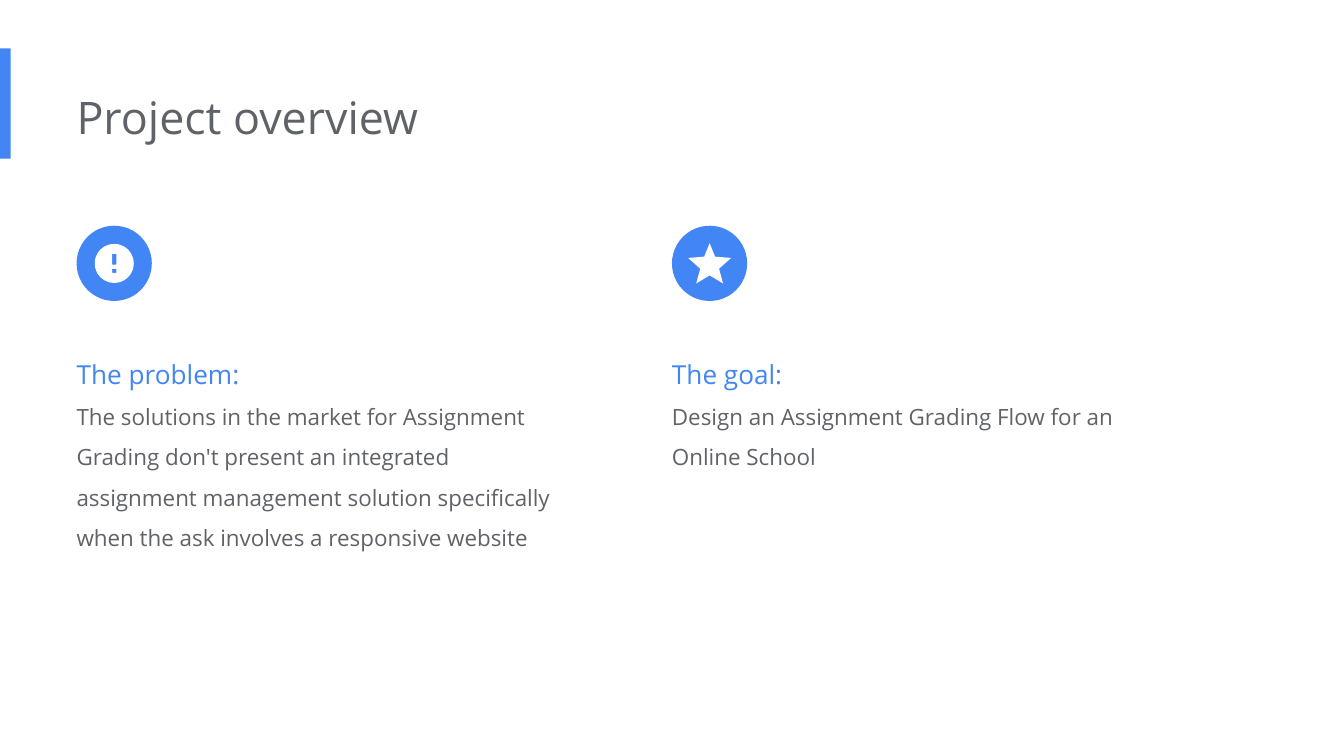
import math
from dataclasses import dataclass

import pptx
import pptx.dml.color
import pptx.enum.shapes
import pptx.enum.text
import pptx.util

Inches = pptx.util.Inches
SHAPES = pptx.enum.shapes.MSO_SHAPE
UNITS_PER_INCH = 1000


@dataclass(frozen=True)
class Theme:
    accent: str = "4285F4"
    body: str = "5F6368"
    white: str = "FFFFFF"
    font: str = "Open Sans"
    title_size: int = 24
    heading_size: int = 14
    body_size: int = 12


THEME = Theme()


def rgb(color):
    return pptx.dml.color.RGBColor.from_string(color)


def paint(shape, color):
    shape.shadow.inherit = False
    shape.fill.solid()
    shape.fill.fore_color.rgb = rgb(color)
    shape.line.fill.background()


def add_block(slide, left, top, width, height, color, preset=SHAPES.RECTANGLE):
    block = slide.shapes.add_shape(
        preset, Inches(left), Inches(top), Inches(width), Inches(height))
    paint(block, color)


def add_text(slide, left, top, width, height, lines, spacing=1.0):
    """Place paragraphs given as (text, size, color)."""
    box = slide.shapes.add_textbox(
        Inches(left), Inches(top), Inches(width), Inches(height))
    frame = box.text_frame
    frame.word_wrap = True
    frame.auto_size = pptx.enum.text.MSO_AUTO_SIZE.SHAPE_TO_FIT_TEXT
    frame.margin_left = 0
    frame.margin_right = frame.margin_top = frame.margin_bottom = Inches(0.1)
    frame.text = "\n".join(text for text, _, _ in lines)
    for paragraph, (_, size, color) in zip(frame.paragraphs, lines):
        paragraph.line_spacing = spacing
        for run in paragraph.runs:
            run.font.name = THEME.font
            run.font.size = pptx.util.Pt(size)
            run.font.color.rgb = rgb(color)


def add_outline(slide, left, top, contours):
    """Draw closed contours, in inches from (left, top), as one white shape."""
    scaled = [[(x * UNITS_PER_INCH, y * UNITS_PER_INCH) for x, y in contour]
              for contour in contours]
    builder = slide.shapes.build_freeform(
        *scaled[0][0], scale=Inches(1) / UNITS_PER_INCH)
    for index, contour in enumerate(scaled):
        if index:
            builder.move_to(*contour[0])
        builder.add_line_segments(contour[1:], close=True)
    paint(builder.convert_to_shape(Inches(left), Inches(top)), THEME.white)


def alert_contours(size):
    """Disc with the bar and dot of an exclamation mark cut out."""
    center, diameter, mark_width, steps = size / 2, 0.29, 0.03, 72
    radius = diameter / 2
    disc = [(center + radius * math.cos(math.tau * i / steps),
             center + radius * math.sin(math.tau * i / steps))
            for i in range(steps)]
    left, right = center - mark_width / 2, center + mark_width / 2
    cutouts = [[(right, top), (right, bottom), (left, bottom), (left, top)]
               for top, bottom in ((0.21, 0.29), (0.32, 0.35))]
    return [disc] + cutouts


def star_contours(size):
    """Five-pointed star, mirrored about the vertical axis."""
    right = [(0.28, 0.13), (0.32, 0.23), (0.44, 0.24),
             (0.35, 0.32), (0.38, 0.43), (0.28, 0.37)]
    left = [(size - x, y) for x, y in reversed(right[1:-1])]
    return [right + left]


def add_header(slide, left, top, width, height, title):
    # Accent bar on the slide edge
    add_block(slide, 0, 0.36, 0.08, 0.82, THEME.accent)
    add_text(slide, left, top, width, height,
             [(title, THEME.title_size, THEME.body)])


def add_topic(slide, left, top, width, text_height, icon, heading, body):
    # Heading and description
    add_text(slide, left, top + 0.77, width, text_height,
             [(heading, THEME.heading_size, THEME.accent),
              (body, THEME.body_size, THEME.body)], spacing=1.5)
    # Round icon
    icon_size = 0.56
    add_block(slide, left, top, icon_size, icon_size, THEME.accent, SHAPES.OVAL)
    add_outline(slide, left, top, icon(icon_size))


def main():
    deck = pptx.Presentation()
    deck.slide_width = Inches(10)
    deck.slide_height = deck.slide_width * 9 // 16
    slide = deck.slides.add_slide(deck.slide_layouts[6])

    add_header(slide, 0.57, 0.57, 6.73, 0.61, "Project overview")
    topics = [
        (0.57, 1.77, alert_contours, "The problem:",
         "The solutions in the market for Assignment Grading don't present an "
         "integrated assignment management solution specifically when the ask "
         "involves a responsive website"),
        (5, 1.16, star_contours, "The goal:",
         "Design an Assignment Grading Flow for an Online School"),
    ]
    for left, text_height, icon, heading, body in topics:
        add_topic(slide, left, 1.68, 3.77, text_height, icon, heading, body)

    deck.save("out.pptx")


if __name__ == "__main__":
    main()
